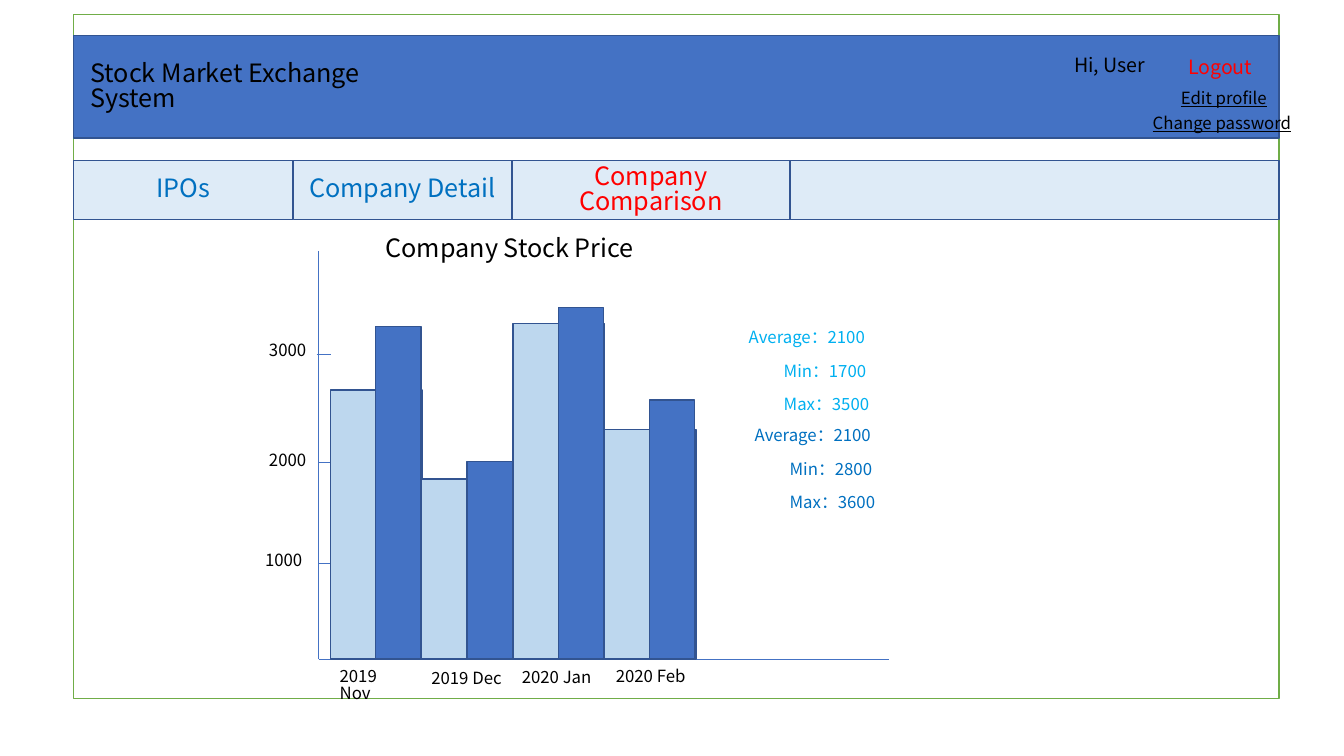
import pptx
import pptx.util
import pptx.dml.color
import pptx.enum.shapes
import pptx.enum.text
import lxml.etree
from dataclasses import dataclass

Cm = pptx.util.Cm
Pt = pptx.util.Pt
MAIN = "http://schemas.openxmlformats.org/drawingml/2006/main"
FACE = "Noto Sans CJK SC"
HUES = {
    "white": "FFFFFF", "black": "000000", "red": "FF0000",
    "green": "70AD47", "blue": "4472C4", "edge": "325491",
    "ice": "DEEBF7", "pale": "BDD7EE", "link": "0070C0", "sky": "00B0F0",
}


@dataclass
class Label:
    text: str
    left: float
    top: float
    width: float
    size: int = 12
    hue: str = "black"
    under: bool = False


@dataclass
class Box:
    left: float
    top: float
    width: float
    height: float
    fill: str
    edge: str = "edge"
    text: str = ""
    hue: str = "link"


@dataclass
class Line:
    left: float
    top: float
    right: float
    foot: float


def color(name: str) -> pptx.dml.color.RGBColor:
    return pptx.dml.color.RGBColor.from_string(HUES[name])


def apply(target, style: dict) -> None:
    for key, value in style.items():
        setattr(target, key, value)


def write(frame, text: str, size: int, hue: str, under: bool = False):
    part = frame.paragraphs[0]
    part.line_spacing = 0.83
    run = part.add_run()
    run.text = text
    apply(run.font, {"name": FACE, "size": Pt(size), "underline": under})
    run.font.color.rgb = color(hue)
    east = lxml.etree.SubElement(run.font._element, f"{{{MAIN}}}ea")
    east.set("typeface", FACE)
    return part


def draw_box(slide, box: Box) -> None:
    shape = slide.shapes.add_shape(
        pptx.enum.shapes.MSO_SHAPE.RECTANGLE,
        Cm(box.left), Cm(box.top), Cm(box.width), Cm(box.height))
    shape.shadow.inherit = False
    shape.fill.solid()
    shape.fill.fore_color.rgb = color(box.fill)
    shape.line.color.rgb = color(box.edge)
    shape.line.width = Pt(1)
    if box.text:
        shape.text_frame.vertical_anchor = pptx.enum.text.MSO_ANCHOR.MIDDLE
        part = write(shape.text_frame, box.text, 18, box.hue)
        part.alignment = pptx.enum.text.PP_ALIGN.CENTER


def draw_label(slide, label: Label) -> None:
    high = {12: 0.76, 14: 0.86, 18: 1.02}[label.size]
    shape = slide.shapes.add_textbox(
        Cm(label.left), Cm(label.top), Cm(label.width), Cm(high))
    apply(shape.text_frame, {
        "word_wrap": True,
        "auto_size": pptx.enum.text.MSO_AUTO_SIZE.SHAPE_TO_FIT_TEXT,
    })
    write(shape.text_frame, label.text, label.size, label.hue, label.under)


def draw_line(slide, line: Line) -> None:
    shape = slide.shapes.add_connector(
        pptx.enum.shapes.MSO_CONNECTOR.STRAIGHT,
        Cm(line.left), Cm(line.top), Cm(line.right), Cm(line.foot))
    shape.line.color.rgb = color("blue")
    shape.line.width = Pt(0.5)
    lxml.etree.SubElement(shape._element.spPr, f"{{{MAIN}}}effectLst")


LEFT, WIDE, BASE, AXIS = 1.85, 30.38, 16.61, 8.03
TABS = [("IPOs", 5.54, "link"), ("Company Detail", 5.51, "link"),
        ("Company Comparison", 7.01, "red")]
BARS = [("pale", 8.33, 2.31, [6.78, 4.54, 8.46, 5.79]),
        ("blue", 9.47, 1.14, [8.38, 4.98, 8.86, 6.53])]
TICKS = [("3000", 7.98, 8.92, 6.53, 8.51), ("2000", AXIS, 11.66, 6.53, 11.3),
         ("1000", AXIS, 14.2, 6.43, 13.82)]
DATES = [("2019 Nov", 8.31, 16.74), ("2019 Dec", 10.62, 16.79),
         ("2020 Jan", 12.9, 16.76), ("2020 Feb", 15.27, 16.74)]
STATS = [("sky", 18.62, 8.2, [2100, 1700, 3500]),
         ("link", 18.77, 10.67, [2100, 2800, 3600])]

boxes = [Box(LEFT, 0.36, WIDE, 17.25, "white", "green"),
         Box(LEFT, 0.89, WIDE, 2.59, "blue"),
         Box(LEFT, 4.04, WIDE, 1.5, "ice")]
edge = LEFT
for text, width, hue in TABS:
    boxes.append(Box(edge, 4.04, width, 1.5, "ice", text=text, hue=hue))
    edge += width

lines = [Line(AXIS, 6.32, AXIS, BASE), Line(AXIS, BASE, 22.4, BASE)]
labels = [
    Label("Stock Market Exchange System", 2.03, 1.45, 9.4, 18),
    Label("Hi, User", 26.82, 1.32, 3.66, 14),
    Label("Logout", 29.69, 1.37, 3.66, 14, "red"),
    Label("Edit profile", 29.51, 2.16, 3.66, under=True),
    Label("Change password", 28.8, 2.79, 4.37, under=True),
    Label("Company Stock Price", 9.47, 5.87, 12.67, 18),
]
for text, start, level, left, top in TICKS:
    lines.append(Line(start, level, start + 0.35, level))
    labels.append(Label(text, left, top, 2.31))
labels += [Label(text, left, top, 2.31) for text, left, top in DATES]
for hue, left, top, values in STATS:
    for row, (name, value) in enumerate(zip(("Average", "Min", "Max"), values)):
        shift = 0.88 if row else 0
        labels.append(Label(f"{name}：{value}", left + shift,
                            top + 0.84 * row, 3.78, hue=hue))
bars = [Box(left + 2.3 * step, BASE - high, width, high, fill)
        for fill, left, width, highs in BARS
        for step, high in enumerate(highs)]

deck = pptx.Presentation()
apply(deck, {"slide_width": Cm(33.87), "slide_height": Cm(19.05)})
slide = deck.slides.add_slide(deck.slide_layouts[6])
for draw, items in ((draw_box, boxes), (draw_line, lines),
                    (draw_box, bars), (draw_label, labels)):
    for item in items:
        draw(slide, item)
deck.save("out.pptx")
